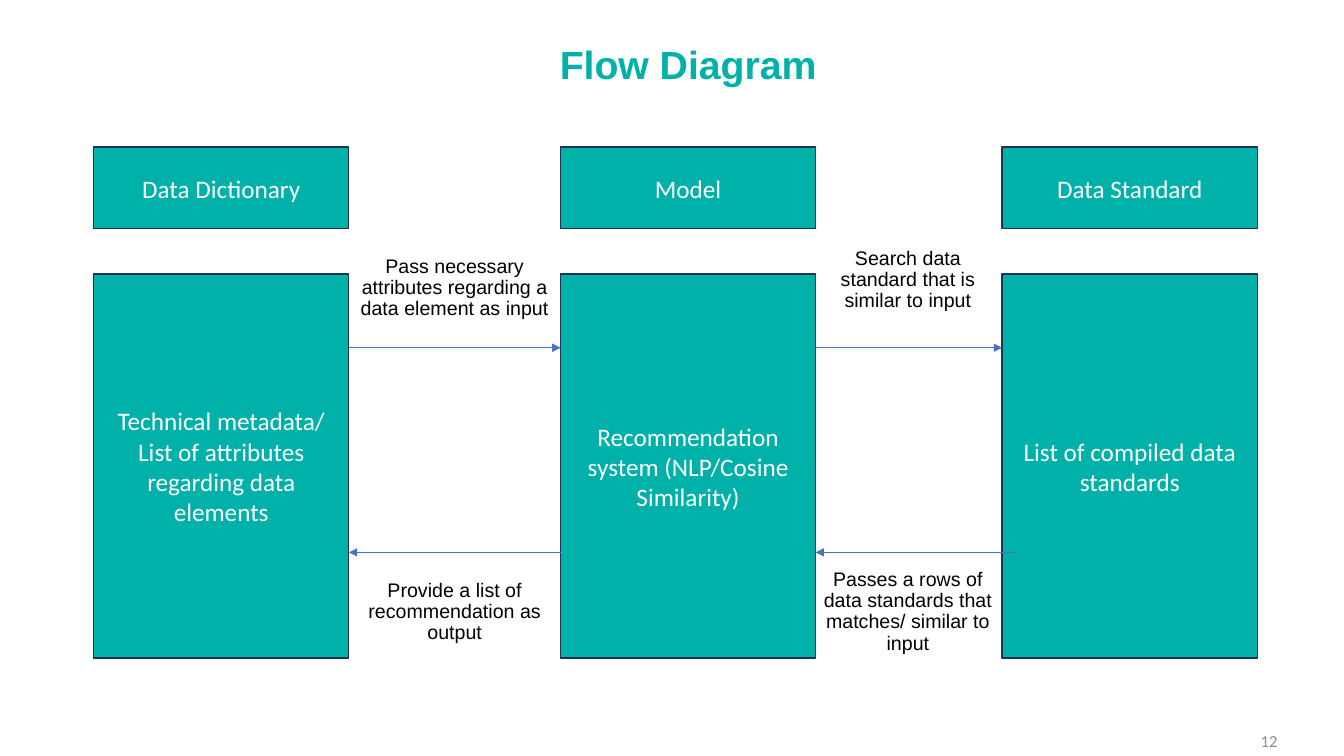
"""Build the flow diagram slide: data dictionary, model and data standard."""
from dataclasses import dataclass

from lxml import etree
from pptx import Presentation
from pptx.dml.color import RGBColor
from pptx.enum.shapes import MSO_CONNECTOR, MSO_SHAPE
from pptx.enum.text import MSO_ANCHOR, MSO_AUTO_SIZE, PP_ALIGN
from pptx.oxml.ns import qn
from pptx.slide import Slide
from pptx.text.text import TextFrame
from pptx.util import Inches, Pt

TEAL = RGBColor(0x00, 0xB1, 0xA9)
NAVY = RGBColor(0x1E, 0x32, 0x56)
BLUE = RGBColor(0x44, 0x72, 0xC4)
WHITE = RGBColor(0xFF, 0xFF, 0xFF)
BLACK = RGBColor(0x00, 0x00, 0x00)
GRAY = RGBColor(0x8C, 0x8C, 0x8C)

RECTANGLE = MSO_SHAPE.RECTANGLE
STRAIGHT = MSO_CONNECTOR.STRAIGHT
MIDDLE = MSO_ANCHOR.MIDDLE
NO_AUTOFIT = MSO_AUTO_SIZE.NONE
CENTER = PP_ALIGN.CENTER
RIGHT = PP_ALIGN.RIGHT

SLIDE_WIDTH, SLIDE_HEIGHT = 13.33, 7.5
COLUMN_LEFTS = (0.93, 5.56, 9.94)
COLUMN_WIDTH = 2.53
HEADER_TOP, HEADER_HEIGHT = 1.46, 0.81
BODY_TOP, BODY_HEIGHT = 2.72, 3.81
REQUEST_ROW, RESPONSE_ROW = 3.45, 5.48
CAPTION_HEIGHT = 1.18

TITLE_FONT = {"name": "Arial", "size": Pt(28), "bold": True}
BOX_FONT = {"name": "Calibri", "size": Pt(18)}
CAPTION_FONT = {"name": "Arial", "size": Pt(14)}
NUMBER_FONT = {"name": "Calibri", "size": Pt(12)}
FRAME_FORMAT = {"word_wrap": True, "auto_size": NO_AUTOFIT, "vertical_anchor": MIDDLE}
NO_MARGINS = {f"margin_{side}": 0 for side in ("left", "top", "right", "bottom")}


@dataclass(frozen=True)
class Stage:
    """A column with a header and a body."""

    left: float
    header: str
    body: str


@dataclass(frozen=True)
class Message:
    """An arrow between two columns with its caption."""

    start: float
    end: float
    row: float
    caption: str
    caption_left: float
    caption_top: float
    caption_width: float


DICTIONARY, MODEL, STANDARD = (
    Stage(left, header, body)
    for left, header, body in zip(
        COLUMN_LEFTS,
        ("Data Dictionary", "Model", "Data Standard"),
        (
            "Technical metadata/ List of attributes regarding data elements",
            "Recommendation system (NLP/Cosine Similarity)",
            "List of compiled data standards",
        ),
    )
)
DICTIONARY_EDGE = DICTIONARY.left + COLUMN_WIDTH
MODEL_EDGE = MODEL.left + COLUMN_WIDTH

MESSAGES = (
    Message(DICTIONARY_EDGE, MODEL.left, REQUEST_ROW,
            "Pass necessary attributes regarding a data element as input",
            DICTIONARY_EDGE, 2.27, 2.1),
    Message(MODEL_EDGE, STANDARD.left, REQUEST_ROW,
            "Search data standard that is similar to input",
            8.15, 2.19, 1.71),
    Message(STANDARD.left + 0.14, MODEL_EDGE, RESPONSE_ROW,
            "Passes a rows of data standards that matches/ similar to input",
            8.15, RESPONSE_ROW, 1.71),
    Message(MODEL.left, DICTIONARY_EDGE, RESPONSE_ROW,
            "Provide a list of recommendation as output",
            DICTIONARY_EDGE, RESPONSE_ROW, 2.1),
)


def apply_format(target: object, values: dict) -> None:
    """Set every named attribute on the target."""
    for name, value in values.items():
        setattr(target, name, value)


def write(frame: TextFrame, text: str, font: dict, color: RGBColor,
          align: PP_ALIGN = CENTER, line_spacing: float = 1.0) -> None:
    """Fill a text frame with one formatted paragraph."""
    apply_format(frame, FRAME_FORMAT)
    paragraph = frame.paragraphs[0]
    apply_format(paragraph, {"alignment": align, "line_spacing": line_spacing})
    run = paragraph.add_run()
    run.text = text
    apply_format(run.font, font)
    run.font.color.rgb = color


def draw_title(slide: Slide, text: str) -> None:
    """Place and format the slide title."""
    title = slide.shapes.title
    apply_format(title, {"left": Inches(5.42), "top": Inches(0.31),
                         "width": Inches(2.81), "height": Inches(0.7)})
    write(title.text_frame, text, TITLE_FONT, TEAL, line_spacing=0.9)


def draw_box(slide: Slide, left: float, top: float, height: float, text: str) -> None:
    """Draw one teal box of a column."""
    box = slide.shapes.add_shape(RECTANGLE, Inches(left), Inches(top),
                                 Inches(COLUMN_WIDTH), Inches(height))
    box.shadow.inherit = False
    box.fill.solid()
    box.fill.fore_color.rgb = TEAL
    box.line.color.rgb = NAVY
    box.line.width = Pt(1)
    write(box.text_frame, text, BOX_FONT, WHITE)


def draw_stage(slide: Slide, stage: Stage) -> None:
    """Draw the header and body of a column."""
    draw_box(slide, stage.left, BODY_TOP, BODY_HEIGHT, stage.body)
    draw_box(slide, stage.left, HEADER_TOP, HEADER_HEIGHT, stage.header)


def draw_message(slide: Slide, message: Message) -> None:
    """Draw an arrow and its caption."""
    row = Inches(message.row)
    arrow = slide.shapes.add_connector(STRAIGHT, Inches(message.start), row,
                                       Inches(message.end), row)
    arrow.line.color.rgb = BLUE
    arrow.line.width = Pt(0.5)
    properties = arrow.line._get_or_add_ln()
    etree.SubElement(properties, qn("a:tailEnd"), type="triangle")
    etree.SubElement(properties.getparent(), qn("a:effectLst"))

    caption = slide.shapes.add_textbox(
        Inches(message.caption_left), Inches(message.caption_top),
        Inches(message.caption_width), Inches(CAPTION_HEIGHT)).text_frame
    apply_format(caption, NO_MARGINS)
    write(caption, message.caption, CAPTION_FONT, BLACK, line_spacing=0.9)


def draw_page_number(slide: Slide, number: str) -> None:
    """Write the page number in the lower right corner."""
    corner = slide.shapes.add_textbox(Inches(12.32), Inches(7.16),
                                      Inches(0.45), Inches(0.38))
    write(corner.text_frame, number, NUMBER_FONT, GRAY, RIGHT)


def main() -> None:
    """Build and save the presentation."""
    presentation = Presentation()
    presentation.slide_width = Inches(SLIDE_WIDTH)
    presentation.slide_height = Inches(SLIDE_HEIGHT)
    slide = presentation.slides.add_slide(presentation.slide_layouts[5])
    draw_title(slide, "Flow Diagram")
    for stage in (DICTIONARY, MODEL, STANDARD):
        draw_stage(slide, stage)
    for message in MESSAGES:
        draw_message(slide, message)
    draw_page_number(slide, "12")
    presentation.save("out.pptx")


if __name__ == "__main__":
    main()
